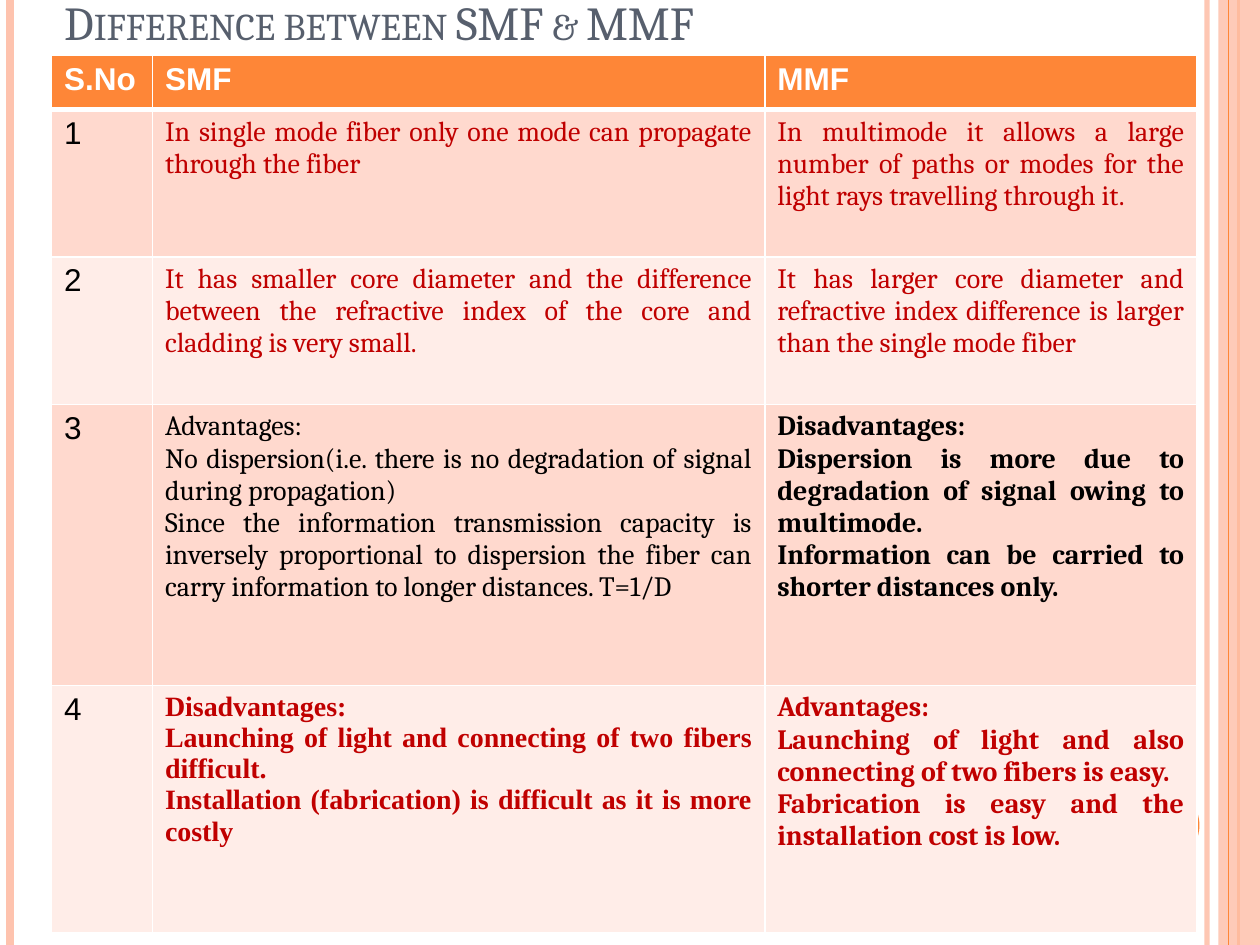
from dataclasses import dataclass

from lxml import etree
from pptx import Presentation, util as u
from pptx.dml import color
from pptx.enum import shapes, text
from pptx.oxml import ns


@dataclass(frozen=True)
class Theme:
    """Colours, fonts and type sizes of the slide."""
    accent: str = "FE8637"
    pale: str = "FEC3AE"
    bands: tuple = ("FFD9CE", "FFEDE8")
    slate: str = "575F6D"
    red: str = "C00000"
    black: str = "000000"
    white: str = "FFFFFF"
    serif: str = "Cambria"
    times: str = "Times New Roman"
    sans: str = "Arial"
    title: int = 27
    label: int = 18
    body: int = 16


class Slide:
    """Draws themed elements on a grid of 100 columns by 75 rows."""

    def __init__(self, deck, theme):
        """Add a title-only page to the deck."""
        self.theme = theme
        self.column = deck.slide_width / 100
        self.row = deck.slide_height / 75
        self.page = deck.slides.add_slide(deck.slide_layouts[5])

    def place(self, left, top, width, height):
        """Turn grid units into slide lengths."""
        return (u.Emu(round(left * self.column)), u.Emu(round(top * self.row)),
                u.Emu(round(width * self.column)), u.Emu(round(height * self.row)))

    def paint(self, fill, tint, opacity=100):
        """Fill with a solid colour of the given opacity."""
        fill.solid()
        fill.fore_color.rgb = color.RGBColor.from_string(tint)
        if opacity < 100:
            for tone in fill._xPr.iter(ns.qn("a:srgbClr")):
                etree.SubElement(tone, ns.qn("a:alpha"), val=str(opacity * 1000))

    def style(self, font, face, size, tint, bold=False):
        """Set face, size, colour and weight of a font."""
        font.name, font.size, font.bold = face, u.Pt(size), bold
        font.color.rgb = color.RGBColor.from_string(tint)

    def rule(self, column, tint, weight, opacity=100):
        """Draw a vertical line over the full height."""
        left, top, _, height = self.place(column, 0, 0, 75)
        line = self.page.shapes.add_connector(
            shapes.MSO_CONNECTOR.STRAIGHT, left, top, left, top + height)
        line.line.width = u.Pt(weight)
        self.paint(line.line.fill, tint, opacity)
        etree.SubElement(line._element.spPr, ns.qn("a:effectLst"))

    def shape(self, kind, area, tint, opacity=100):
        """Draw a plain filled shape."""
        shape = self.page.shapes.add_shape(kind, *self.place(*area))
        shape.shadow.inherit = False
        shape.line.fill.background()
        self.paint(shape.fill, tint, opacity)

    def title(self, words, area):
        """Fill the title placeholder in small capitals."""
        title = self.page.shapes.title
        title.left, title.top, title.width, title.height = self.place(*area)
        frame = title.text_frame
        frame.text = words
        frame.auto_size = text.MSO_AUTO_SIZE.NONE
        frame.vertical_anchor = text.MSO_ANCHOR.BOTTOM
        para = frame.paragraphs[0]
        para.alignment = text.PP_ALIGN.LEFT
        theme = self.theme
        self.style(para.font, theme.serif, theme.title, theme.slate)
        para.runs[0].font._element.set("cap", "small")

    def borders(self, cell, top, bottom):
        """Give a cell white borders of the given weights."""
        edges = {"lnL": 1, "lnR": 1, "lnT": top, "lnB": bottom}
        for index, (name, weight) in enumerate(edges.items()):
            edge = etree.Element(ns.qn(f"a:{name}"), w=str(u.Pt(weight)))
            fill = etree.SubElement(edge, ns.qn("a:solidFill"))
            etree.SubElement(fill, ns.qn("a:srgbClr"), val=self.theme.white)
            cell._tc.get_or_add_tcPr().insert(index, edge)

    def cell(self, cell, words, fill, font, align, top=1, bottom=1):
        """Write and dress one table cell."""
        cell.text = words
        self.paint(cell.fill, fill)
        self.borders(cell, top, bottom)
        for para in cell.text_frame.paragraphs:
            para.alignment = align
            self.style(para.font, *font)

    def table(self, area, widths, heights, header, rows):
        """Draw a numbered, banded comparison table."""
        theme, left = self.theme, text.PP_ALIGN.LEFT
        table = self.page.shapes.add_table(
            len(heights), len(widths), *self.place(*area)).table
        for column, width in zip(table.columns, widths):
            column.width = u.Emu(round(width * self.column))
        for row, height in zip(table.rows, heights):
            row.height = u.Emu(round(height * self.row))
        heading = (theme.sans, theme.label, theme.white, True)
        for index, words in enumerate(header):
            self.cell(table.cell(0, index), words, theme.accent, heading, left, bottom=3)
        number = (theme.sans, theme.label, theme.black)
        for index, entries in enumerate(rows, 1):
            band = theme.bands[(index - 1) % 2]
            top = 3 if index == 1 else 1
            self.cell(table.cell(index, 0), str(index), band, number, left, top)
            for column, (words, face, tint, bold) in enumerate(entries, 1):
                self.cell(table.cell(index, column), words, band,
                          (face, theme.body, tint, bold), text.PP_ALIGN.JUSTIFY, top)


def main():
    """Build the comparison slide."""
    deck = Presentation()
    deck.slide_width, deck.slide_height = u.Inches(10), u.Inches(7.5)
    theme = Theme()
    slide = Slide(deck, theme)

    slide.rule(95.8, theme.pale, 3, 93)
    slide.rule(0.8, theme.pale, 4.5)
    slide.rule(98.3, theme.accent, 1.5)
    slide.shape(shapes.MSO_SHAPE.RECTANGLE, (96.7, 0, 3.3, 75), theme.pale, 87)
    slide.rule(97.5, theme.accent, 0.75)
    slide.shape(shapes.MSO_SHAPE.OVAL, (89.2, 62.5, 6, 6), theme.accent)

    slide.title("Difference between SMF & MMF", (4.1, 0, 81.7, 4.5))
    red = (theme.serif, theme.red, False)
    rows = [
        [("In single mode fiber only one mode can propagate through the fiber", *red),
         ("In multimode it allows a large number of paths or modes for the "
          "light rays travelling through it.", *red)],
        [("It has smaller core diameter and the difference between the "
          "refractive index of the core and cladding is very small.", *red),
         ("It has larger core diameter and refractive index difference is "
          "larger than the single mode fiber", *red)],
        [("Advantages:\n"
          "No dispersion(i.e. there is no degradation of signal during propagation)\n"
          "Since the information transmission capacity is inversely proportional to "
          "dispersion the fiber can carry information to longer distances. T=1/D",
          theme.serif, theme.black, False),
         ("Disadvantages:\n"
          "Dispersion is more due to degradation of signal owing to multimode.\n"
          "Information can be carried to shorter distances only.",
          theme.serif, theme.black, True)],
        [("Disadvantages:\n"
          "Launching of light and connecting of two fibers difficult.\n"
          "Installation (fabrication) is difficult as it is more costly",
          theme.times, theme.red, True),
         ("Advantages:\n"
          "Launching of light and also connecting of two fibers is easy.\n"
          "Fabrication is easy and the installation cost is low.",
          theme.serif, theme.red, True)],
    ]
    slide.table((4.1, 4.4, 90.9, 69.6), (8, 48.6, 34.3), (4.3, 11.7, 11.7, 22.3, 19.6),
                ("S.No", "SMF", "MMF"), rows)
    deck.save("out.pptx")


if __name__ == "__main__":
    main()
